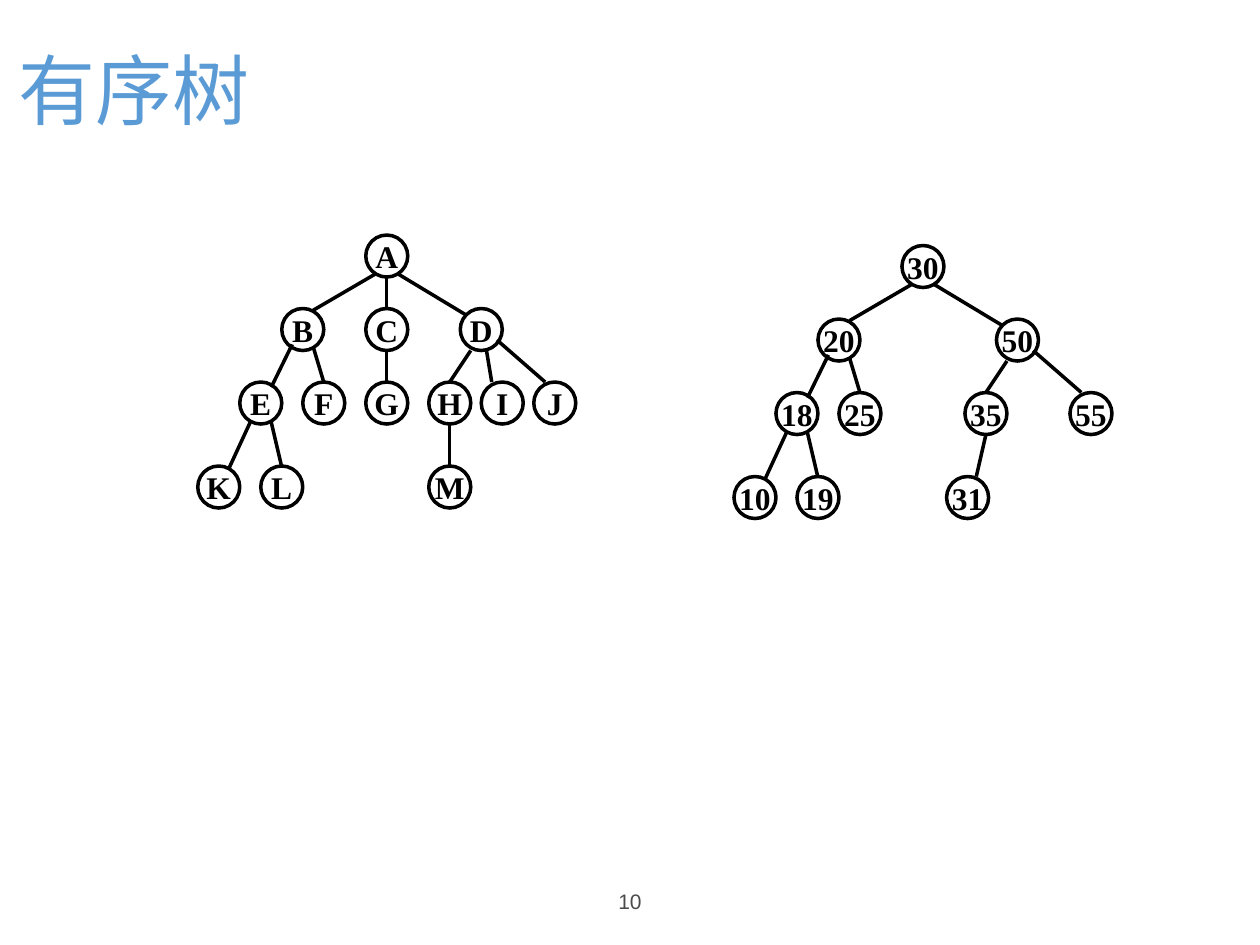
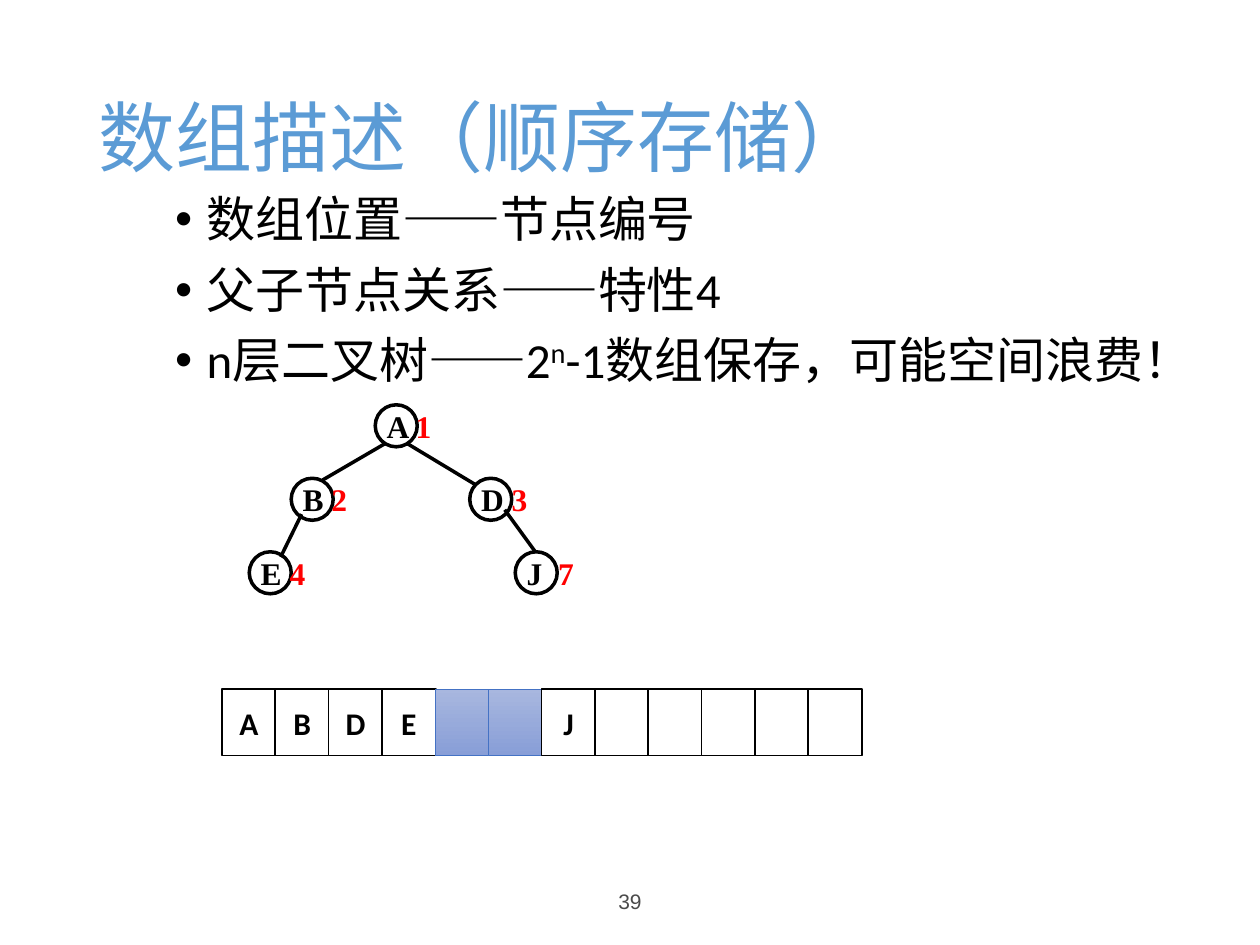
from lxml.etree import SubElement
from pptx import Presentation
from pptx.dml.color import RGBColor
from pptx.enum.shapes import MSO_CONNECTOR, MSO_SHAPE
from pptx.enum.text import MSO_ANCHOR, PP_ALIGN
from pptx.oxml.ns import qn
from pptx.util import Pt

COLORS = {
    "title": "5B9BD5", "ink": "000000", "footer": "4B4B4B", "index": "FF0000",
    "paper": "FFFFFF", "gap_line": "4472C4", "gap_top": "A8B7DF", "gap_bottom": "889ED7",
}
BODY_FONT, NODE_FONT, FOOTER_FONT = "Calibri", "Times New Roman", "Arial"

# Tree layout in points: node corners relative to the root's corner
NODE = 24
SLOTS = {
    "A": (0, 0),
    "B": (-48, 42), "C": (0, 42), "D": (54, 42),
    "E": (-72, 84), "F": (-36, 84), "G": (0, 84), "H": (36, 84),
    "I": (66, 84), "J": (96, 84), "J near": (80, 84),
    "K": (-96, 132), "L": (-60, 132), "M": (36, 132), "M left": (25.5, 132),
}
# Parent, child, start inside the parent, end inside the child
EDGES = [
    ("A", "C", (12, 24), (12, 0)),
    ("C", "G", (12, 24), (12, 0)),
    ("H", "M", (12, 24), (12, 0)),
    ("H", "M left", (12, 24), (17, 0)),
    ("A", "B", (6, 22), (18, 1)),
    ("A", "D", (18, 22), (3, 3.5)),
    ("B", "E", (6, 20.5), (18, 3)),
    ("B", "F", (18, 22), (12, 0)),
    ("E", "K", (6, 23), (18, 1)),
    ("E", "L", (18, 23), (12, 0.5)),
    ("D", "H", (6, 24), (12, 0)),
    ("D", "I", (15, 24), (6, 0)),
    ("D", "J", (21, 18), (6.5, 0)),
    ("D", "J near", (20, 18), (11.5, 0)),
]


def rgb(name):
    return RGBColor.from_string(COLORS[name])


def add_run(p, text, size, font, color="ink", bold=False):
    r = p.add_run()
    r.text = text
    r.font.size, r.font.name, r.font.bold = Pt(size), font, bold
    r.font.color.rgb = rgb(color)
    return r


def add_box(slide, left, top, width, height, anchor=MSO_ANCHOR.MIDDLE):
    sp = slide.shapes.add_textbox(Pt(left), Pt(top), Pt(width), Pt(height))
    tf = sp.text_frame
    tf.word_wrap = True
    tf.vertical_anchor = anchor
    return tf


def add_frame(prs, title, left, top, number):
    """Blank slide with its title and page number."""
    slide = prs.slides.add_slide(prs.slide_layouts[6])
    p = add_box(slide, left, top, 621, 104.4).paragraphs[0]
    p.line_spacing = 0.9
    add_run(p, title, 44, BODY_FONT, "title")
    p = add_box(slide, 238.5, 500.5, 243, 28.8).paragraphs[0]
    p.alignment = PP_ALIGN.CENTER
    add_run(p, number, 12, FOOTER_FONT, "footer")
    return slide


def add_bullets(slide, items):
    """Each item is a list of (text, is_superscript) pieces."""
    tf = add_box(slide, 93, 108, 612, 356, MSO_ANCHOR.TOP)
    for i, pieces in enumerate(items):
        p = tf.add_paragraph() if i else tf.paragraphs[0]
        pPr = p._p.get_or_add_pPr()
        pPr.set("marL", str(Pt(18)))
        pPr.set("indent", str(-Pt(18)))
        SubElement(pPr, qn("a:buFont")).set("typeface", "Arial")
        SubElement(pPr, qn("a:buChar")).set("char", "•")
        p.line_spacing = 0.9
        if i:
            p.space_before = Pt(10)
        for text, is_superscript in pieces:
            r = add_run(p, text, 28, BODY_FONT)
            if is_superscript:
                r._r.get_or_add_rPr().set("baseline", "30000")


def add_node(shapes, x, y, label, index=None):
    sp = shapes.add_shape(MSO_SHAPE.OVAL, Pt(x), Pt(y), Pt(NODE), Pt(NODE))
    sp.shadow.inherit = False
    sp.fill.background()
    sp.line.color.rgb, sp.line.width = rgb("ink"), Pt(2)
    tf = sp.text_frame
    tf.word_wrap = False
    tf.vertical_anchor = MSO_ANCHOR.MIDDLE
    p = tf.paragraphs[0]
    if index is None:
        p.alignment = PP_ALIGN.CENTER
        add_run(p, label, 18, NODE_FONT, bold=True)
        return
    # A numbered node: its index overhangs the circle on the right
    p.alignment = PP_ALIGN.LEFT
    tf.margin_left = Pt(3)
    r = add_run(p, label + " ", 18, NODE_FONT, bold=True)
    if label == "J":
        r._r.get_or_add_rPr().set("spc", "225")
    add_run(p, index, 18, NODE_FONT, "index", bold=True)


def add_edge(shapes, x1, y1, x2, y2):
    cxn = shapes.add_connector(MSO_CONNECTOR.STRAIGHT, Pt(x1), Pt(y1), Pt(x2), Pt(y2))
    cxn.line.color.rgb, cxn.line.width = rgb("ink"), Pt(2)
    SubElement(cxn._element.spPr, qn("a:effectLst"))


def add_tree(slide, left, top, labels):
    """Labels maps a slot to the texts of its node."""
    shapes = slide.shapes.add_group_shape().shapes
    corners = {slot: (left + SLOTS[slot][0], top + SLOTS[slot][1]) for slot in labels}
    for slot, texts in labels.items():
        add_node(shapes, *corners[slot], *texts)
    for parent, child, (dx1, dy1), (dx2, dy2) in EDGES:
        if parent in corners and child in corners:
            (x1, y1), (x2, y2) = corners[parent], corners[child]
            add_edge(shapes, x1 + dx1, y1 + dy1, x2 + dx2, y2 + dy2)


def add_array(slide, left, top, cells):
    """Row of cells; None marks an unused position inside the tree."""
    shapes = slide.shapes.add_group_shape().shapes
    for i, text in enumerate(cells):
        sp = shapes.add_shape(MSO_SHAPE.RECTANGLE, Pt(left + i * 30.45), Pt(top), Pt(30.8), Pt(38))
        sp.shadow.inherit = False
        if text is None:
            sp.fill.gradient()
            sp.fill.gradient_angle = 270
            for stop, name in zip(sp.fill.gradient_stops, ("gap_top", "gap_bottom")):
                stop.color.rgb = rgb(name)
            sp.line.color.rgb, sp.line.width = rgb("gap_line"), Pt(0.5)
            continue
        sp.fill.solid()
        sp.fill.fore_color.rgb = rgb("paper")
        sp.line.color.rgb, sp.line.width = rgb("ink"), Pt(1)
        if text:
            tf = sp.text_frame
            tf.vertical_anchor = MSO_ANCHOR.MIDDLE
            p = tf.paragraphs[0]
            p.alignment = PP_ALIGN.CENTER
            add_run(p, text, 18, BODY_FONT, bold=True)


def main():
    prs = Presentation()
    prs.slide_width, prs.slide_height = Pt(720), Pt(540)

    # Ordered trees
    slide = add_frame(prs, "有序树", 3.6, 2, "10")
    add_tree(slide, 209, 134.3, {slot: (slot,) for slot in "ABCDEFGHIJKLM"})
    add_tree(slide, 515.4, 140.3, {
        "A": ("30",), "B": ("20",), "D": ("50",), "E": ("18",), "F": ("25",),
        "H": ("35",), "J": ("55",), "K": ("10",), "L": ("19",), "M left": ("31",),
    })

    # Array storage of a binary tree
    slide = add_frame(prs, "数组描述（顺序存储）", 49.5, 28.8, "39")
    add_bullets(slide, [
        [("数组位置——节点编号", False)],
        [("父子节点关系——特性4", False)],
        [("n层二叉树——2", False), ("n", True), ("-1数组保存，可能空间浪费！", False)],
    ])
    add_tree(slide, 214.4, 231.3, {
        "A": ("A", "1"), "B": ("B", "2"), "D": ("D", "3"),
        "E": ("E", "4"), "J near": ("J", "7"),
    })
    add_array(slide, 126.8, 393.8, ["A", "B", "D", "E", None, None, "J"] + [""] * 5)

    prs.save("out.pptx")


if __name__ == "__main__":
    main()
